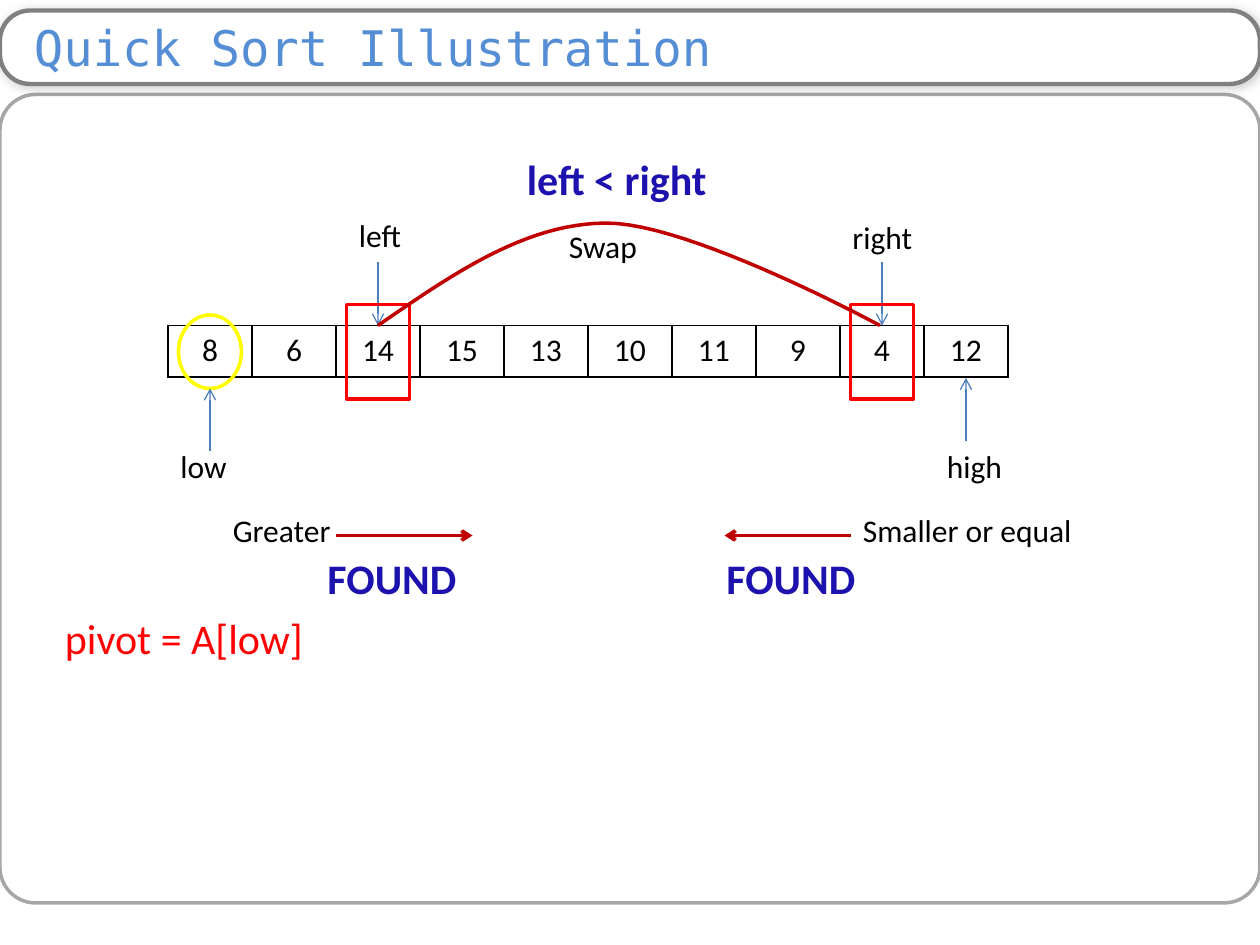
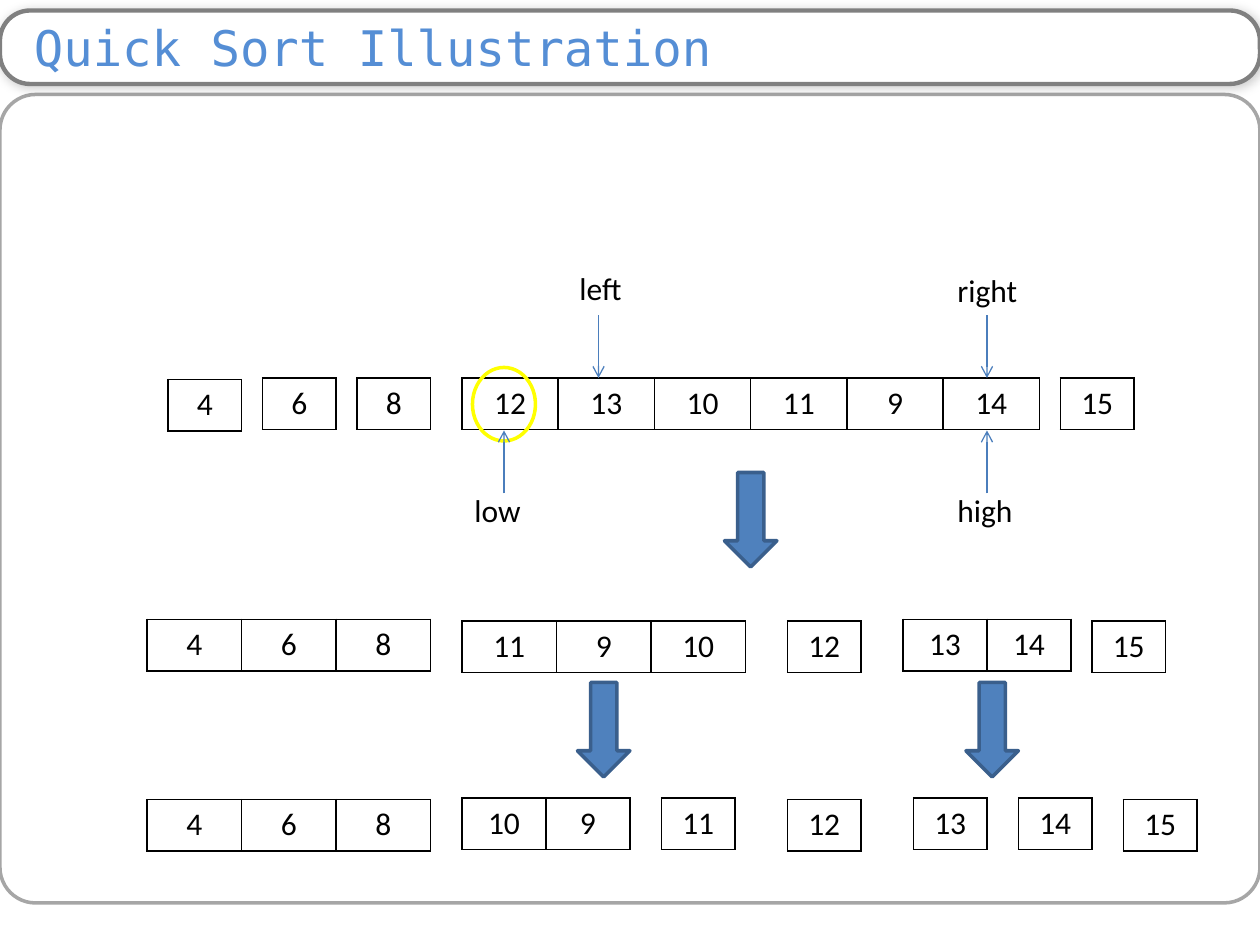
from dataclasses import dataclass

from lxml import etree
from pptx import Presentation
from pptx import util as u
from pptx.dml.color import RGBColor
from pptx.enum import shapes, text
from pptx.oxml.ns import qn


@dataclass(frozen=True)
class Theme:
    body_font: str = "Calibri"
    title_font: str = "DejaVu Sans Mono"
    title_size: int = 28
    big: int = 24
    small: int = 18
    thin: float = 0.75
    cell_line: float = 1
    thick: float = 2
    band_line: float = 2.5
    black: str = "000000"
    white: str = "FFFFFF"
    title: str = "558ED5"
    band: str = "808080"
    panel: str = "A6A6A6"
    pointer: str = "4B7EBC"
    step: str = "4F81BD"
    step_edge: str = "3A5F8C"
    sweep: str = "C00000"
    red: str = "FF0000"
    navy: str = "1D12AE"
    pivot: str = "FFFF00"


T = Theme()

# All places are in grid units: the slide is 120 columns by 90 rows.
COLS, ROWS = 120, 90
WIDTH, HEIGHT = u.Inches(10), u.Inches(7.5)
UNIT = WIDTH / COLS
CELL_H = 4.9
POINTER_LEN = 6
SINGLE = 7  # width of a cell that stands alone

TITLE = "Quick Sort Illustration"

SWAP = {
    "arrays": [(16, 31, 8, [8, 6, 14, 15, 13, 10, 11, 9, 4, 12])],
    # name, x of the arrow, y of its tail, direction, label corner
    "pointers": [("low", 20, 43, -1, 16, 42), ("high", 92, 42, -1, 89, 42),
                 ("right", 84, 25, 1, 80, 20.2), ("left", 36, 25, 1, 33, 20)],
    "pivot": (17, 30),
    # words, left, top, width, size, colour, bold
    "labels": [("pivot = A[low]", 5, 57.7, 32, T.big, T.red, False),
               ("Greater", 21, 48.1, 12, T.small, T.black, False),
               ("Smaller or equal", 81, 48.1, 24, T.small, T.black, False),
               ("Swap", 53, 21, 12, T.small, T.black, False),
               ("left < right", 49, 14, 26, T.big, T.navy, True),
               ("FOUND", 30, 52, 15, T.big, T.navy, True),
               ("FOUND", 68, 52, 15, T.big, T.navy, True)],
    "sweeps": [(32, 45, 51), (81, 69, 51)],
    "swapped": [(33, 29), (81, 29)],
    "curve": [((36, 31), (43, 26.2), (50, 21.25), (57.8, 21.25)),
              ((57.8, 21.25), (65.8, 21.25), (83.8, 31), (83.8, 31))],
}

PARTITIONS = {
    "arrays": [
        (16, 36.15, SINGLE, [4]), (25, 36, SINGLE, [6]), (34, 36, SINGLE, [8]),
        (44, 36, 55 / 6, [12, 13, 10, 11, 9, 14]), (101, 36, SINGLE, [15]),
        (14, 59, 9, [4, 6, 8]), (44, 59.15, 9, [11, 9, 10]),
        (75, 59.15, SINGLE, [12]), (86, 59, 8, [13, 14]),
        (104, 59.15, SINGLE, [15]),
        (14, 76.15, 9, [4, 6, 8]), (44, 76, 8, [10, 9]),
        (63, 76, SINGLE, [11]), (75, 76.15, SINGLE, [12]),
        (87, 76, SINGLE, [13]), (97, 76, SINGLE, [14]),
        (107, 76.15, SINGLE, [15])],
    "pointers": [("left", 57, 30, 1, 54, 25), ("right", 94, 30, 1, 90, 25.2),
                 ("low", 48, 47, -1, 44, 46.2),
                 ("high", 94, 47, -1, 90, 46.2)],
    "pivot": (45, 35),
    "steps": [(69, 45), (92, 65), (55, 65)],
}


def units(*values):
    return [u.Emu(round(v * UNIT)) for v in values]


def rgb(code):
    return RGBColor.from_string(code)


def style_font(p, size, color, name=T.body_font, bold=False):
    f = p.font
    f.size, f.name, f.bold = u.Pt(size), name, bold
    f.color.rgb = rgb(color)


def add_outline(slide, kind, box, color, width, fill=None):
    sp = slide.shapes.add_shape(kind, *units(*box))
    return paint(sp, color, width, fill)


def paint(sp, color, width, fill=None):
    sp.shadow.inherit = False
    if fill:
        sp.fill.solid()
        sp.fill.fore_color.rgb = rgb(fill)
    else:
        sp.fill.background()
    sp.line.color.rgb = rgb(color)
    sp.line.width = u.Pt(width)
    return sp


def add_soft_shadow(sp):
    effects = sp._element.spPr.find(qn("a:effectLst"))
    shadow = etree.SubElement(
        effects, qn("a:outerShdw"), blurRad=str(u.Pt(6)), dist=str(u.Pt(1)),
        dir=str(45 * 60000), algn="tl", rotWithShape="0")
    color = etree.SubElement(shadow, qn("a:srgbClr"), val=T.black)
    etree.SubElement(color, qn("a:alpha"), val="20000")


def add_frame(prs):
    """Add a slide with the title band and the content panel."""
    slide = prs.slides.add_slide(prs.slide_layouts[6])
    rounded = shapes.MSO_SHAPE.ROUNDED_RECTANGLE
    panel = add_outline(slide, rounded, (0, 9, COLS, 77), T.panel, T.thick)
    panel.adjustments[0] = 0.044
    band = add_outline(slide, rounded, (0, 1, COLS, 7), T.band, T.band_line,
                       T.white)
    band.adjustments[0] = 0.409
    add_soft_shadow(band)
    tf = band.text_frame
    tf.vertical_anchor = text.MSO_ANCHOR.MIDDLE
    tf.margin_left, tf.margin_right = u.Inches(0.2), u.Inches(0.1)
    tf.margin_top = tf.margin_bottom = 0
    p = tf.paragraphs[0]
    p.text = TITLE
    p.alignment = text.PP_ALIGN.LEFT
    style_font(p, T.title_size, T.title, T.title_font)
    return slide


def add_label(slide, words, x, y, w=9, size=T.small, color=T.black,
              bold=False):
    h = CELL_H if size == T.small else 6
    tf = slide.shapes.add_textbox(*units(x, y, w, h)).text_frame
    tf.word_wrap = True
    tf.auto_size = text.MSO_AUTO_SIZE.SHAPE_TO_FIT_TEXT
    p = tf.paragraphs[0]
    p.text = words
    style_font(p, size, color, bold=bold)


def add_arrow(slide, x1, y1, x2, y2, color, width):
    line = slide.shapes.add_connector(
        shapes.MSO_CONNECTOR.STRAIGHT, *units(x1, y1, x2, y2))
    line.line.color.rgb = rgb(color)
    line.line.width = u.Pt(width)
    etree.SubElement(line.line._get_or_add_ln(), qn("a:tailEnd"), type="arrow")
    etree.SubElement(line._element.spPr, qn("a:effectLst"))


def add_borders(cell):
    tc_pr = cell._tc.get_or_add_tcPr()
    for side in ("lnL", "lnR", "lnT", "lnB"):
        ln = etree.SubElement(tc_pr, qn(f"a:{side}"),
                              w=str(u.Pt(T.cell_line)))
        fill = etree.SubElement(ln, qn("a:solidFill"))
        etree.SubElement(fill, qn("a:srgbClr"), val=T.black)


def add_array(slide, x, y, cell_w, values):
    n = len(values)
    table = slide.shapes.add_table(
        1, n, *units(x, y, cell_w * n, CELL_H)).table
    table.first_row = table.horz_banding = False
    for i, value in enumerate(values):
        table.columns[i].width = units(cell_w)[0]
        cell = table.cell(0, i)
        add_borders(cell)
        cell.fill.background()
        p = cell.text_frame.paragraphs[0]
        p.text = str(value)
        p.alignment = text.PP_ALIGN.CENTER
        style_font(p, T.small, T.black)


def add_state(slide, state):
    """Draw the arrays, the pivot ring and the named pointers."""
    for array in state["arrays"]:
        add_array(slide, *array)
    add_outline(slide, shapes.MSO_SHAPE.OVAL, (*state["pivot"], 6, 7),
                T.pivot, T.thick)
    for name, x, y, direction, label_x, label_y in state["pointers"]:
        add_arrow(slide, x, y, x, y + direction * POINTER_LEN,
                  T.pointer, T.thin)
        add_label(slide, name, label_x, label_y)


def bezier(a, b, c, d, steps=24):
    for i in range(1, steps + 1):
        t = i / steps
        s = 1 - t
        yield tuple(s**3 * a[k] + 3 * s * s * t * b[k] + 3 * s * t * t * c[k]
                    + t**3 * d[k] for k in (0, 1))


def add_curve(slide, segments):
    start = segments[0][0]
    points = [pt for segment in segments for pt in bezier(*segment)]
    builder = slide.shapes.build_freeform(*units(*start))
    builder.add_line_segments([units(*pt) for pt in points], close=False)
    paint(builder.convert_to_shape(), T.sweep, T.thick)


def build_swap(prs):
    slide = add_frame(prs)
    add_state(slide, SWAP)
    for x1, x2, y in SWAP["sweeps"]:
        add_arrow(slide, x1, y, x2, y, T.sweep, T.thick)
    for corner in SWAP["swapped"]:
        add_outline(slide, shapes.MSO_SHAPE.RECTANGLE, (*corner, 6, 9),
                    T.red, T.thick)
    add_curve(slide, SWAP["curve"])
    for label in SWAP["labels"]:
        add_label(slide, *label)


def build_partitions(prs):
    slide = add_frame(prs)
    add_state(slide, PARTITIONS)
    for corner in PARTITIONS["steps"]:
        add_outline(slide, shapes.MSO_SHAPE.DOWN_ARROW, (*corner, 5, 9),
                    T.step_edge, T.thick, T.step)


def main():
    prs = Presentation()
    prs.slide_width, prs.slide_height = WIDTH, HEIGHT
    build_swap(prs)
    build_partitions(prs)
    prs.save("out.pptx")


if __name__ == "__main__":
    main()
